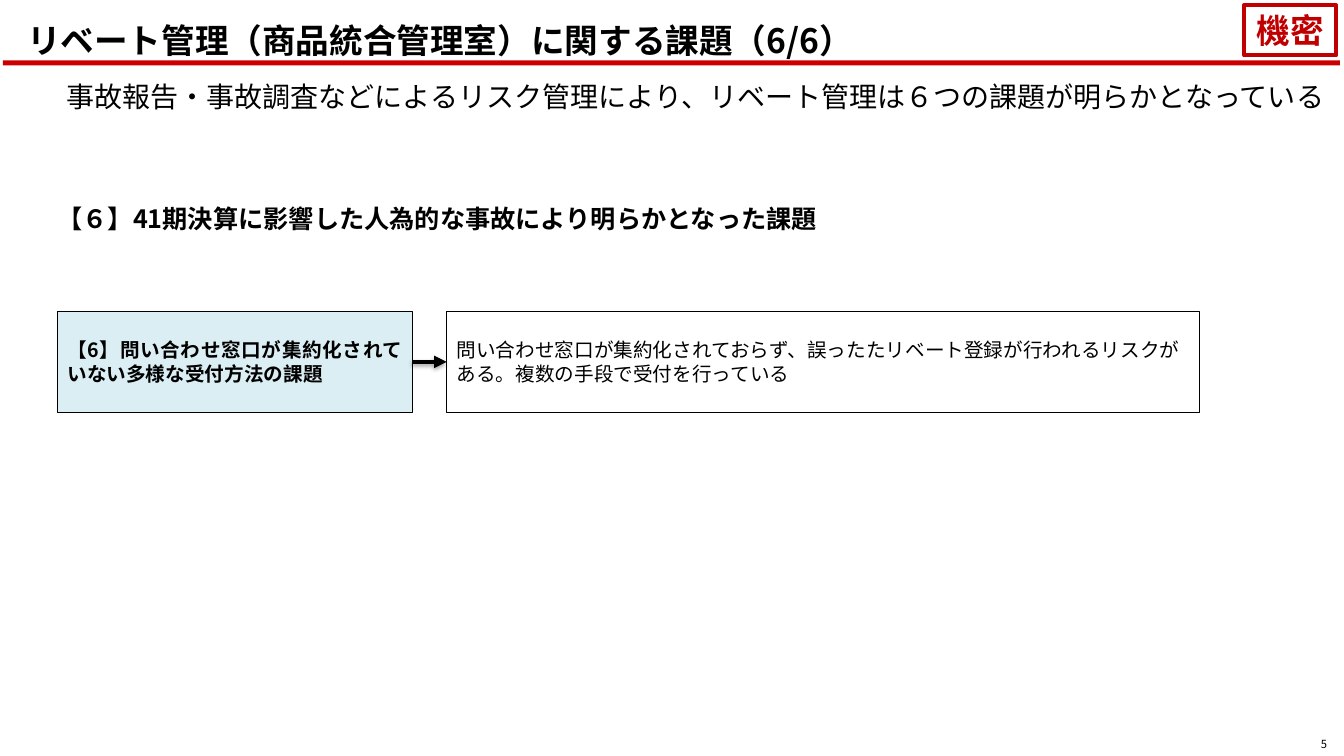
from lxml.etree import SubElement
from pptx import Presentation
from pptx.dml.color import RGBColor
from pptx.enum.shapes import MSO_CONNECTOR, MSO_SHAPE
from pptx.enum.text import MSO_ANCHOR, PP_ALIGN
from pptx.oxml.ns import qn
from pptx.util import Inches, Pt

FONT = "Noto Sans CJK JP"
BLACK = "000000"


def color(text):
    return RGBColor.from_string(text)


def write(shape, text, size, bold=False, ink=BLACK, align=PP_ALIGN.LEFT,
          anchor=MSO_ANCHOR.MIDDLE, inset=(0.1, 0.05)):
    frame = shape.text_frame
    frame.word_wrap = True
    frame.vertical_anchor = anchor
    frame.margin_left = frame.margin_right = Inches(inset[0])
    frame.margin_top = frame.margin_bottom = Inches(inset[1])
    para = frame.paragraphs[0]
    para.text = text
    para.alignment = align
    font = para.font
    font.name, font.size, font.bold = FONT, Pt(size), bold
    font.color.rgb = color(ink)
    props = para._p.pPr.find(qn("a:defRPr"))
    SubElement(props, qn("a:ea")).set("typeface", FONT)


def label(slide, box, text, size, **style):
    shape = slide.shapes.add_textbox(*map(Inches, box))
    write(shape, text, size, **style)


def panel(slide, box, fill=None, line=None, width=0.75):
    shape = slide.shapes.add_shape(MSO_SHAPE.RECTANGLE, *map(Inches, box))
    shape.shadow.inherit = False
    for part, tone in ((shape.fill, fill), (shape.line.fill, line)):
        if tone:
            part.solid()
            part.fore_color.rgb = color(tone)
        else:
            part.background()
    if line:
        shape.line.width = Pt(width)
    return shape


def arrow(slide, start, end, y):
    link = slide.shapes.add_connector(
        MSO_CONNECTOR.STRAIGHT, *map(Inches, (start, y, end, y)))
    link.line.color.rgb = color(BLACK)
    link.line.width = Pt(3)
    SubElement(link.line._ln, qn("a:tailEnd")).set("type", "triangle")
    effects = SubElement(link._element.spPr, qn("a:effectLst"))
    shade = SubElement(effects, qn("a:outerShdw"), blurRad=str(Pt(3.1)),
                       dist=str(Pt(1.8)), dir="5400000", rotWithShape="0")
    tone = SubElement(shade, qn("a:srgbClr"), val=BLACK)
    SubElement(tone, qn("a:alpha"), val="35000")


def header(slide, box):
    left, top, width, height = box
    panel(slide, (left, top + height - 0.05, width, 0.05), fill="CC0000")
    label(slide, (left + 0.14, top + 0.04, 10.18, 0.71),
          "リベート管理（商品統合管理室）に関する課題（6/6）", 24, bold=True)
    stamp = panel(slide, (left + width - 0.95, top + 0.05, 0.91, 0.5),
                  line="C00000", width=3)
    write(stamp, "機密", 24, bold=True, ink="C00000",
          align=PP_ALIGN.CENTER, anchor=MSO_ANCHOR.TOP)
    label(slide, (left + 0.53, top + 0.74, 12.82, 0.44),
          "事故報告・事故調査などによるリスク管理により、"
          "リベート管理は６つの課題が明らかとなっている",
          20, anchor=MSO_ANCHOR.TOP)


def issue(slide, box):
    left, top, width, height = box
    label(slide, (left, top, width, 0.3),
          "【６】41期決算に影響した人為的な事故により明らかとなった課題", 18,
          bold=True, align=PP_ALIGN.JUSTIFY, anchor=MSO_ANCHOR.TOP,
          inset=(0, 0))
    row, deep, name, gap = top + height - 1, 1, 3.52, 0.34
    topic = panel(slide, (left, row, name, deep), "DBEEF4", BLACK)
    write(topic, "【6】問い合わせ窓口が集約化されていない多様な受付方法の課題",
          14, bold=True, align=PP_ALIGN.JUSTIFY)
    start = left + name
    detail = panel(slide, (start + gap, row, 7.47, deep), "FFFFFF", BLACK)
    write(detail, "問い合わせ窓口が集約化されておらず、誤ったたリベート登録が"
          "行われるリスクがある。複数の手段で受付を行っている", 14)
    arrow(slide, start, start + gap, row + deep / 2)


def footer(slide, box):
    label(slide, box, "5", 8, align=PP_ALIGN.RIGHT, inset=(0.1, 0))


deck = Presentation()
deck.slide_width, deck.slide_height = Inches(13.33), Inches(7.5)
slide = deck.slides.add_slide(deck.slide_layouts[6])
header(slide, (0.03, 0, 13.26, 0.65))
issue(slide, (0.57, 2.02, 11.97, 2.07))
footer(slide, (12.83, 7.32, 0.43, 0.13))
deck.save("out.pptx")
